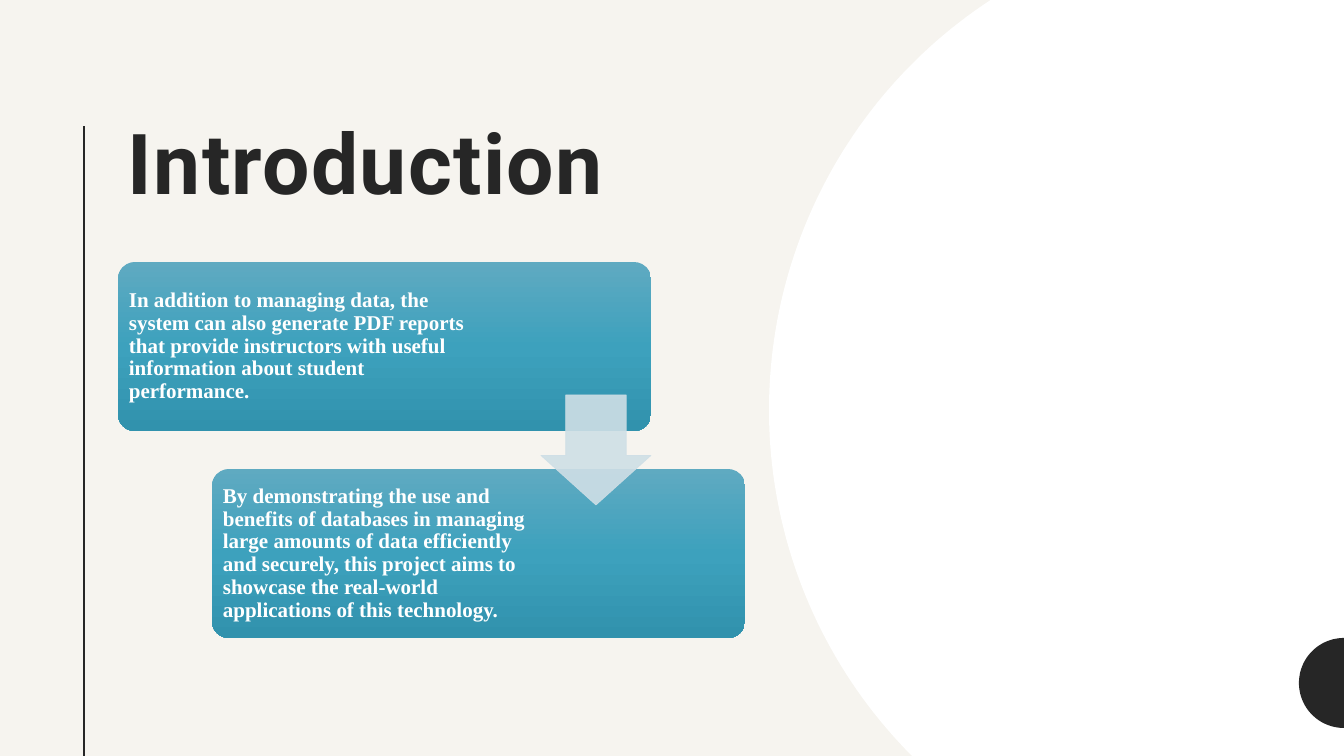
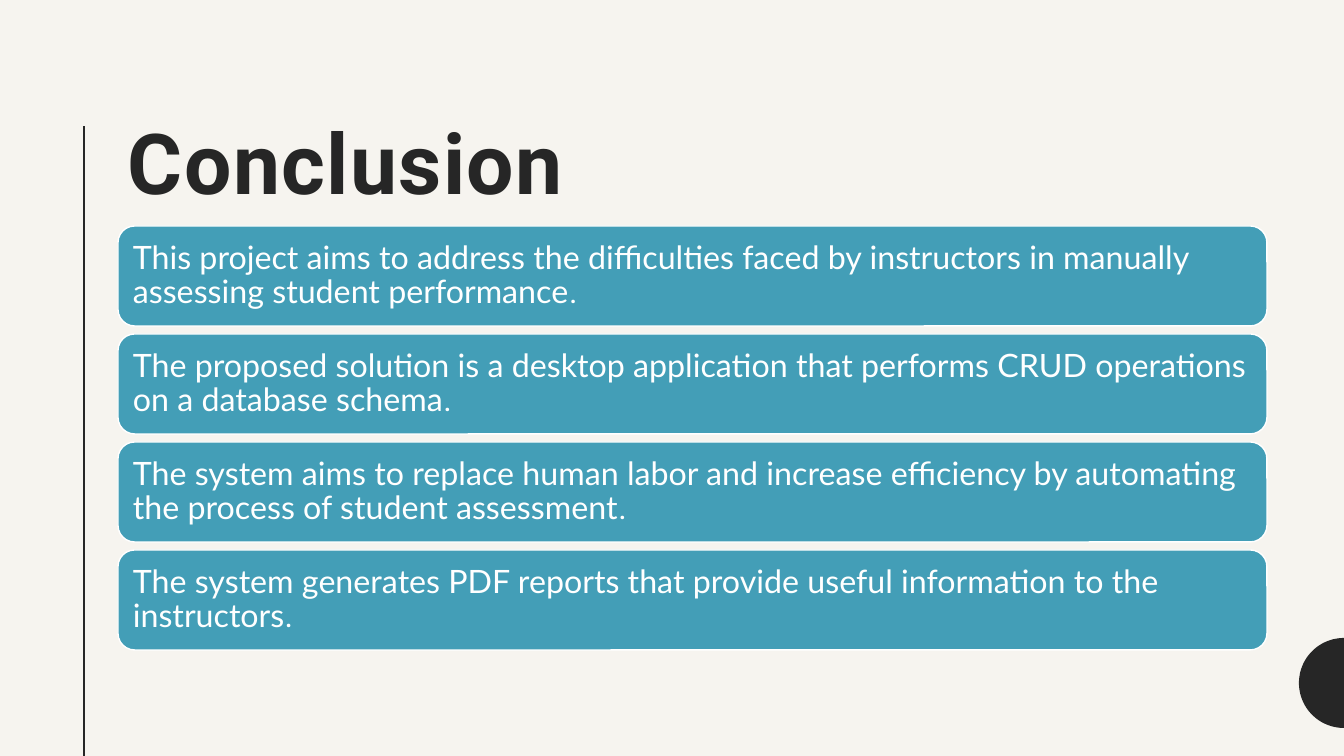
"""Builds the introduction and conclusion slides of a student assessment project."""
import copy
import math

import lxml.etree
import pptx
import pptx.dml.color
import pptx.enum.shapes
import pptx.enum.text
import pptx.oxml.ns
import pptx.util

INTRODUCTION = [
    ("In addition to managing data, the system can also generate PDF reports that provide "
     "instructors with useful information about student performance.", 171),
    ("By demonstrating the use and benefits of databases in managing large amounts of data "
     "efficiently and securely, this project aims to showcase the real-world applications "
     "of this technology.", 210),
]
CONCLUSION = [
    "This project aims to address the difficulties faced by instructors in manually "
    "assessing student performance",
    "The proposed solution is a desktop application that performs CRUD operations on a "
    "database schema",
    "The system aims to replace human labor and increase efficiency by automating the "
    "process of student assessment",
    "The system generates PDF reports that provide useful information to the instructors",
]

PAPER, INK, WHITE = "F6F4EF", "262626", "FFFFFF"
TEAL, ARROW = "439EB7", "CFDFE6"
STEP_GRADIENT = [(0, "5FAAC1"), (0.5, "3DA1BD"), (1, "3192AD")]
WIDTH, HEIGHT, LEFT = 1344, 756, 118
SHAPES = pptx.enum.shapes.MSO_SHAPE
ANCHORS = pptx.enum.text.MSO_ANCHOR


def px(length):
    return pptx.util.Emu(round(length * 914400 / 100.8))


def color(hex_code):
    return pptx.dml.color.RGBColor.from_string(hex_code)


def write(shape, *runs, size, ink, bold=False, spacing=0,
          insets=(10, 5, 10, 5), anchor=ANCHORS.MIDDLE):
    frame = shape.text_frame
    frame.word_wrap = True
    frame.vertical_anchor = anchor
    (frame.margin_left, frame.margin_top,
     frame.margin_right, frame.margin_bottom) = map(px, insets)
    paragraph = frame.paragraphs[0]
    paragraph.alignment = pptx.enum.text.PP_ALIGN.LEFT
    paragraph.line_spacing = 0.9
    for words, font_name in runs:
        run = paragraph.add_run()
        run.text = words
        run.font.name = font_name
        run.font.size = pptx.util.Pt(size)
        run.font.bold = bold
        run.font.color.rgb = color(ink)
        if spacing:
            run.font._element.set("spc", str(spacing * 100))


def add_block(slide, kind, box, fill=None, line=None, line_width=1):
    block = slide.shapes.add_shape(kind, *map(px, box))
    block.shadow.inherit = False
    if fill:
        block.fill.solid()
        block.fill.fore_color.rgb = color(fill)
    if line:
        block.line.color.rgb = color(line)
        block.line.width = pptx.util.Pt(line_width)
    else:
        block.line.fill.background()
    return block


def shade(block, stops):
    block.fill.gradient()
    block.fill.gradient_angle = 270
    stop_list = block._element.spPr.find(".//" + pptx.oxml.ns.qn("a:gsLst"))
    stop_list.insert(1, copy.deepcopy(stop_list[0]))
    for stop, (position, hex_code) in zip(block.fill.gradient_stops, stops):
        stop.position = position
        stop.color.rgb = color(hex_code)


def add_edge_disc(slide, center_x, center_y, radius, fill):
    """Draw the part of a disc that lies on the slide, cut at the right edge."""
    start = math.asin(max(-1, -center_y / radius))
    end = math.asin(min(1, (HEIGHT - center_y) / radius))
    angles = [start + (end - start) * step / 90 for step in range(91)]
    arc = [(px(center_x - radius * math.cos(angle)), px(center_y + radius * math.sin(angle)))
           for angle in angles]
    builder = slide.shapes.build_freeform(*arc[0])
    builder.add_line_segments(arc[1:] + [(px(WIDTH), arc[-1][1]), (px(WIDTH), arc[0][1])])
    disc = builder.convert_to_shape()
    disc.shadow.inherit = False
    disc.fill.solid()
    disc.fill.fore_color.rgb = color(fill)
    disc.line.fill.background()


def add_slide(deck, heading, heading_width, discs=()):
    slide = deck.slides.add_slide(deck.slide_layouts[6])
    slide.background.fill.solid()
    slide.background.fill.fore_color.rgb = color(PAPER)
    title = slide.shapes.add_textbox(*map(px, (LEFT, 117, heading_width, 169)))
    write(title, (heading, "Roboto"), size=60, ink=INK, bold=True, spacing=1,
          anchor=ANCHORS.TOP)
    rule = slide.shapes.add_connector(pptx.enum.shapes.MSO_CONNECTOR.STRAIGHT,
                                      *map(px, (84, 126, 84, HEIGHT)))
    rule.line.color.rgb = color(INK)
    rule.line.width = pptx.util.Pt(1.5)
    lxml.etree.SubElement(rule._element.spPr, pptx.oxml.ns.qn("a:effectLst"))
    for disc in (*discs, (WIDTH, 683, 45, INK)):
        add_edge_disc(slide, *disc)
    return slide


def build_introduction(deck):
    slide = add_slide(deck, "Introduction", 586, [(1259, 410, 490, WHITE)])
    for index, (words, right_inset) in enumerate(INTRODUCTION):
        box = (LEFT + 94 * index, 262 + 207 * index, 533, 169)
        step = add_block(slide, SHAPES.ROUNDED_RECTANGLE, box)
        step.adjustments[0] = 0.1
        shade(step, STEP_GRADIENT)
        write(step, (words, "Times New Roman"), size=15, ink=WHITE, bold=True,
              insets=(6, 6, right_inset, 6))
    arrow = add_block(slide, SHAPES.DOWN_ARROW, (541, 395, 110, 110), ARROW, ARROW, 0.5)
    arrow.adjustments[0] = 0.55
    arrow.adjustments[1] = 0.45
    for tint in arrow._element.spPr.findall(".//" + pptx.oxml.ns.qn("a:srgbClr")):
        lxml.etree.SubElement(tint, pptx.oxml.ns.qn("a:alpha"), val="90000")


def build_conclusion(deck):
    slide = add_slide(deck, "Conclusion", 1141)
    for index, words in enumerate(CONCLUSION):
        box = (LEFT, 226 + 108 * index, 1149, 100)
        point = add_block(slide, SHAPES.ROUNDED_RECTANGLE, box, TEAL, WHITE)
        write(point, (words, "Lato"), (".", "Roboto"), size=23, ink=WHITE,
              insets=(10, 10, 10, 10))


def main():
    deck = pptx.Presentation()
    deck.slide_width, deck.slide_height = px(WIDTH), px(HEIGHT)
    build_introduction(deck)
    build_conclusion(deck)
    deck.save("out.pptx")


if __name__ == "__main__":
    main()
